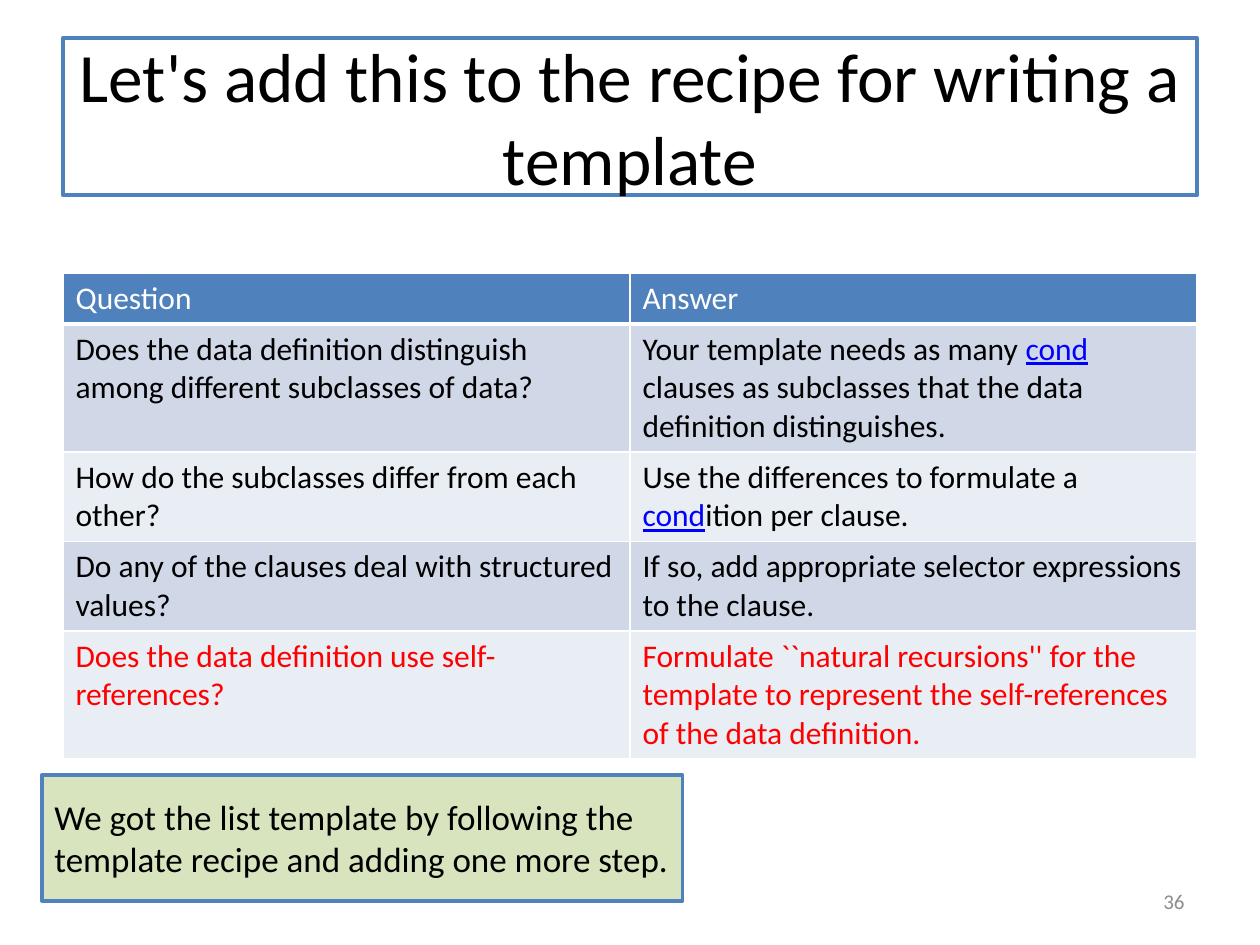
from lxml.etree import SubElement
from pptx import Presentation
from pptx.dml.color import RGBColor
from pptx.enum.shapes import MSO_SHAPE
from pptx.enum.text import MSO_ANCHOR, MSO_AUTO_SIZE, PP_ALIGN
from pptx.oxml.ns import qn
from pptx.util import Pt

COLORS = {
    "white": "FFFFFF",
    "black": "000000",
    "blue": "4F81BD",
    "band_dark": "D0D8E8",
    "band_light": "E9EDF4",
    "green": "D7E4BD",
    "link": "0000FF",
    "red": "FF0000",
    "gray": "8C8C8C",
}
LINK_WORD = "cond"
RECIPE = [
    ("Question", "Answer"),
    ("Does the data definition distinguish among different subclasses of data?",
     "Your template needs as many cond clauses as subclasses that the data "
     "definition distinguishes."),
    ("How do the subclasses differ from each other?",
     "Use the differences to formulate a condition per clause."),
    ("Do any of the clauses deal with structured values?",
     "If so, add appropriate selector expressions to the clause."),
    ("Does the data definition use self-references?",
     "Formulate ``natural recursions'' for the template to represent the "
     "self-references of the data definition."),
]


def rgb(name):
    return RGBColor.from_string(COLORS[name])


class SlideBuilder:
    """Holds the current slide and the style its elements share."""

    font_name = "Calibri"

    def __init__(self, slide):
        self.slide = slide

    def style_run(self, span, size, color):
        span.font.name = self.font_name
        span.font.size = Pt(size)
        span.font.color.rgb = rgb(color)

    def set_text(self, shape, text, size, color="black", align=PP_ALIGN.LEFT):
        frame = shape.text_frame
        frame.text = text
        frame.word_wrap = True
        frame.auto_size = MSO_AUTO_SIZE.NONE
        frame.vertical_anchor = MSO_ANCHOR.MIDDLE
        para = frame.paragraphs[0]
        para.alignment = align
        self.style_run(para.runs[0], size, color)

    def paint(self, shape, fill, line_width):
        shape.fill.solid()
        shape.fill.fore_color.rgb = rgb(fill)
        shape.line.color.rgb = rgb("blue")
        shape.line.width = Pt(line_width)

    def title(self, text, left, top, width, height):
        title = self.slide.shapes.title
        title.left, title.top = Pt(left), Pt(top)
        title.width, title.height = Pt(width), Pt(height)
        self.paint(title, "white", 2.25)
        self.set_text(title, text, 39.6, align=PP_ALIGN.CENTER)

    def callout(self, text, left, top, width, height):
        box = self.slide.shapes.add_shape(
            MSO_SHAPE.RECTANGLE, Pt(left), Pt(top), Pt(width), Pt(height))
        box.shadow.inherit = False
        self.paint(box, "green", 2)
        self.set_text(box, text, 20)

    def page_number(self, text, left, top, width, height):
        box = self.slide.shapes.add_textbox(
            Pt(left), Pt(top), Pt(width), Pt(height))
        self.set_text(box, text, 12, "gray", PP_ALIGN.RIGHT)

    def cell_borders(self, cell, bottom_width):
        properties = cell._tc.get_or_add_tcPr()
        widths = {"a:lnL": 1, "a:lnR": 1, "a:lnT": 1, "a:lnB": bottom_width}
        for tag, width in widths.items():
            line = SubElement(properties, qn(tag), w=str(Pt(width)))
            fill = SubElement(line, qn("a:solidFill"))
            SubElement(fill, qn("a:srgbClr"), val=COLORS["white"])

    def cell(self, cell, text, fill, color, bottom_width):
        self.cell_borders(cell, bottom_width)
        cell.fill.solid()
        cell.fill.fore_color.rgb = rgb(fill)
        para = cell.text_frame.paragraphs[0]
        for part in filter(None, text.partition(LINK_WORD)):
            is_link = part == LINK_WORD
            span = para.add_run()
            span.text = part
            self.style_run(span, 18, "link" if is_link else color)
            span.font.underline = is_link

    def table(self, rows, left, top, width, row_height):
        table = self.slide.shapes.add_table(
            len(rows), len(rows[0]), Pt(left), Pt(top), Pt(width),
            Pt(row_height * len(rows))).table
        last = len(rows) - 1
        for index, texts in enumerate(rows):
            table.rows[index].height = Pt(row_height)
            fill = "band_dark" if index % 2 else "band_light"
            color = "red" if index == last else "black"
            if index == 0:
                fill, color = "blue", "white"
            for column, text in enumerate(texts):
                cell = table.cell(index, column)
                self.cell(cell, text, fill, color, 1 if index else 3)
                # The header row is plain rather than bold.
                for span in cell.text_frame.paragraphs[0].runs:
                    span.font.bold = False


def main():
    deck = Presentation()
    deck.slide_width, deck.slide_height = Pt(720), Pt(540)
    page = SlideBuilder(deck.slides.add_slide(deck.slide_layouts[5]))
    page.title("Let's add this to the recipe for writing a template",
               36, 21.6, 648, 90)
    page.table(RECIPE, 36, 156, 648, 29.2)
    page.page_number("36", 516, 500.5, 168, 28.75)
    page.callout("We got the list template by following the template recipe "
                 "and adding one more step.", 24, 442.8, 366, 72)
    deck.save("out.pptx")


if __name__ == "__main__":
    main()
